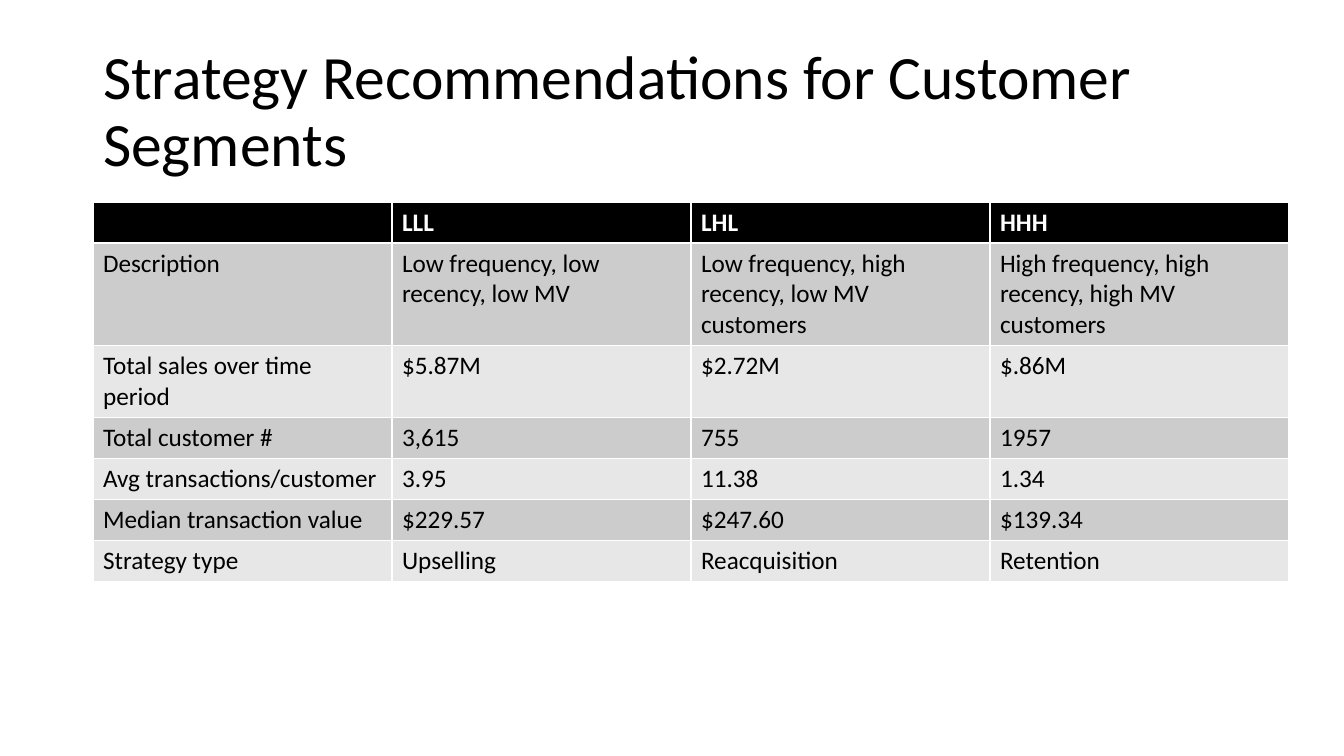
from lxml.etree import SubElement
from pptx import Presentation
from pptx.dml.color import RGBColor
from pptx.enum.text import MSO_ANCHOR, MSO_AUTO_SIZE, PP_ALIGN
from pptx.oxml.ns import qn
from pptx.util import Pt

PX = 914400 / 100.8
FONT = "Calibri"
COLORS = {
    "text": "000000",
    "header": "000000",
    "header_text": "FFFFFF",
    "odd_row": "CCCCCC",
    "even_row": "E7E7E7",
    "border": "FFFFFF",
}
ROWS = [
    ["", "LLL", "LHL", "HHH"],
    ["Description", "Low frequency, low recency, low MV",
     "Low frequency, high recency, low MV customers",
     "High frequency, high recency, high MV customers"],
    ["Total sales over time period", "$5.87M", "$2.72M", "$.86M"],
    ["Total customer #", "3,615", "755", "1957"],
    ["Avg transactions/customer", "3.95", "11.38", "1.34"],
    ["Median transaction value", "$229.57", "$247.60", "$139.34"],
    ["Strategy type", "Upselling", "Reacquisition", "Retention"],
]
ROW_HEIGHTS = [41, 102, 72, 41, 41, 41, 41]
COLUMN_WIDTH = 299


def px(length):
    return round(length * PX)


def format_text(paragraph, size, color, bold=False):
    for run in paragraph.runs:
        run.font.name = FONT
        run.font.size = Pt(size)
        run.font.bold = bold
        run.font.color.rgb = RGBColor.from_string(COLORS[color])


presentation = Presentation()
presentation.slide_width, presentation.slide_height = px(1344), px(756)
slide = presentation.slides.add_slide(presentation.slide_layouts[5])

# Title
title = slide.shapes.title
title.left, title.top, title.width, title.height = px(93), px(40), px(1159), px(146)
title_frame = title.text_frame
title_frame.text = "Strategy Recommendations for Customer Segments"
title_frame.word_wrap = True
title_frame.auto_size = MSO_AUTO_SIZE.NONE
title_frame.vertical_anchor = MSO_ANCHOR.MIDDLE
title_paragraph = title_frame.paragraphs[0]
title_paragraph.alignment = PP_ALIGN.LEFT
title_paragraph.line_spacing = 0.9
format_text(title_paragraph, 44, "text")

# Segment table
table = slide.shapes.add_table(
    len(ROWS), len(ROWS[0]), px(93), px(202),
    px(COLUMN_WIDTH * len(ROWS[0])), px(sum(ROW_HEIGHTS))).table
for column in table.columns:
    column.width = px(COLUMN_WIDTH)

for row_index, values in enumerate(ROWS):
    table.rows[row_index].height = px(ROW_HEIGHTS[row_index])
    is_header = row_index == 0
    if is_header:
        fill, text_color = "header", "header_text"
    else:
        fill, text_color = ("odd_row" if row_index % 2 else "even_row"), "text"
    for column_index, value in enumerate(values):
        cell = table.cell(row_index, column_index)
        cell.text_frame.text = value
        format_text(cell.text_frame.paragraphs[0], 18, text_color, is_header)
        cell_properties = cell._tc.get_or_add_tcPr()
        for side in ("a:lnL", "a:lnR", "a:lnT", "a:lnB"):
            line = SubElement(cell_properties, qn(side), w=str(Pt(1)))
            line_fill = SubElement(line, qn("a:solidFill"))
            SubElement(line_fill, qn("a:srgbClr"), val=COLORS["border"])
        cell.fill.solid()
        cell.fill.fore_color.rgb = RGBColor.from_string(COLORS[fill])

presentation.save("out.pptx")
